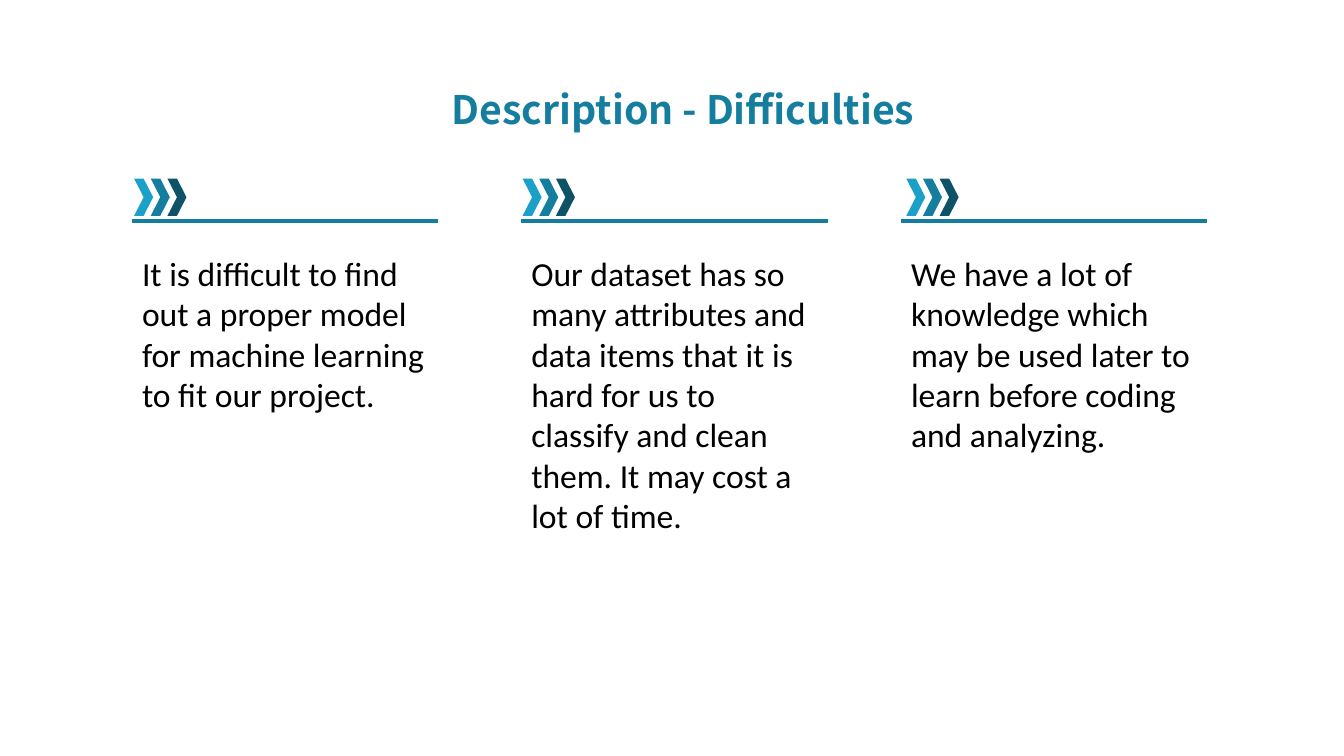
from dataclasses import dataclass

from lxml.etree import SubElement
from pptx import Presentation
from pptx.dml.color import RGBColor
from pptx.enum.shapes import MSO_CONNECTOR, MSO_SHAPE
from pptx.enum.text import MSO_AUTO_SIZE, PP_ALIGN
from pptx.oxml.ns import qn
from pptx.util import Cm, Pt


@dataclass(frozen=True)
class Theme:
    """Colours, fonts and type sizes of the slide."""
    light: RGBColor = RGBColor(0x1B, 0xA0, 0xC9)
    accent: RGBColor = RGBColor(0x15, 0x7E, 0x9F)
    dark: RGBColor = RGBColor(0x0D, 0x52, 0x67)
    text: RGBColor = RGBColor(0, 0, 0)
    title_font: str = "Noto Sans CJK SC"
    body_font: str = "Calibri"
    title_size: Pt = Pt(28)
    body_size: Pt = Pt(24)
    rule_width: Pt = Pt(3)


THEME = Theme()
COLUMN_WIDTH = 7.72
COLUMN_TOP = 4.5
# Each entry: left edge, chevron indent, text height, text.
COLUMNS = [
    (3.33, 0.05, 4.37, "It is difficult to find out a proper model for machine "
     "learning to fit our project."),
    (13.14, 0.03, 7.44, "Our dataset has so many attributes and data items that it is "
     "hard for us to classify and clean them. It may cost a lot of time."),
    (22.71, 0.13, 5.38, "We have a lot of knowledge which may be used later to learn "
     "before coding and analyzing."),
]


def add_text(s, box, text, font, size, color, bold=False, align=PP_ALIGN.LEFT):
    """Add a wrapped one-paragraph text box."""
    tf = s.shapes.add_textbox(*map(Cm, box)).text_frame
    tf.word_wrap = True
    tf.auto_size = MSO_AUTO_SIZE.SHAPE_TO_FIT_TEXT
    p = tf.paragraphs[0]
    p.text = text
    p.alignment = align
    p.font.name = font
    p.font.size = size
    p.font.bold = bold
    p.font.color.rgb = color


def add_title(s, box, text):
    """Add the centred slide title."""
    add_text(s, box, text, THEME.title_font, THEME.title_size, THEME.accent,
             bold=True, align=PP_ALIGN.CENTER)


def add_chevrons(s, left, top):
    """Add three chevrons running from light to dark."""
    for i, color in enumerate((THEME.light, THEME.accent, THEME.dark)):
        sp = s.shapes.add_shape(MSO_SHAPE.CHEVRON, Cm(left + i * 0.42), Cm(top),
                                Cm(0.48), Cm(0.94))
        sp.shadow.inherit = False
        sp.fill.solid()
        sp.fill.fore_color.rgb = color
        sp.line.fill.background()


def add_rule(s, left, top, width):
    """Add a horizontal rule."""
    rule = s.shapes.add_connector(MSO_CONNECTOR.STRAIGHT, Cm(left), Cm(top),
                                  Cm(left + width), Cm(top))
    rule.line.color.rgb = THEME.accent
    rule.line.width = THEME.rule_width
    SubElement(rule._element.spPr, qn("a:effectLst"))


def add_column(s, box, indent, text):
    """Add a rule with its text below and chevrons above."""
    left, top, width, text_height = box
    add_rule(s, left, top + 1.06, width)
    add_text(s, (left, top + 1.75, width, text_height), text,
             THEME.body_font, THEME.body_size, THEME.text)
    add_chevrons(s, left + indent, top)


def main():
    """Build and save the slide."""
    prs = Presentation()
    prs.slide_width, prs.slide_height = Cm(33.87), Cm(19.05)
    s = prs.slides.add_slide(prs.slide_layouts[6])
    add_title(s, (7.92, 2.03, 18.59, 1.45), "Description - Difficulties")
    for left, indent, height, text in COLUMNS:
        add_column(s, (left, COLUMN_TOP, COLUMN_WIDTH, height), indent, text)
    prs.save("out.pptx")


if __name__ == "__main__":
    main()
